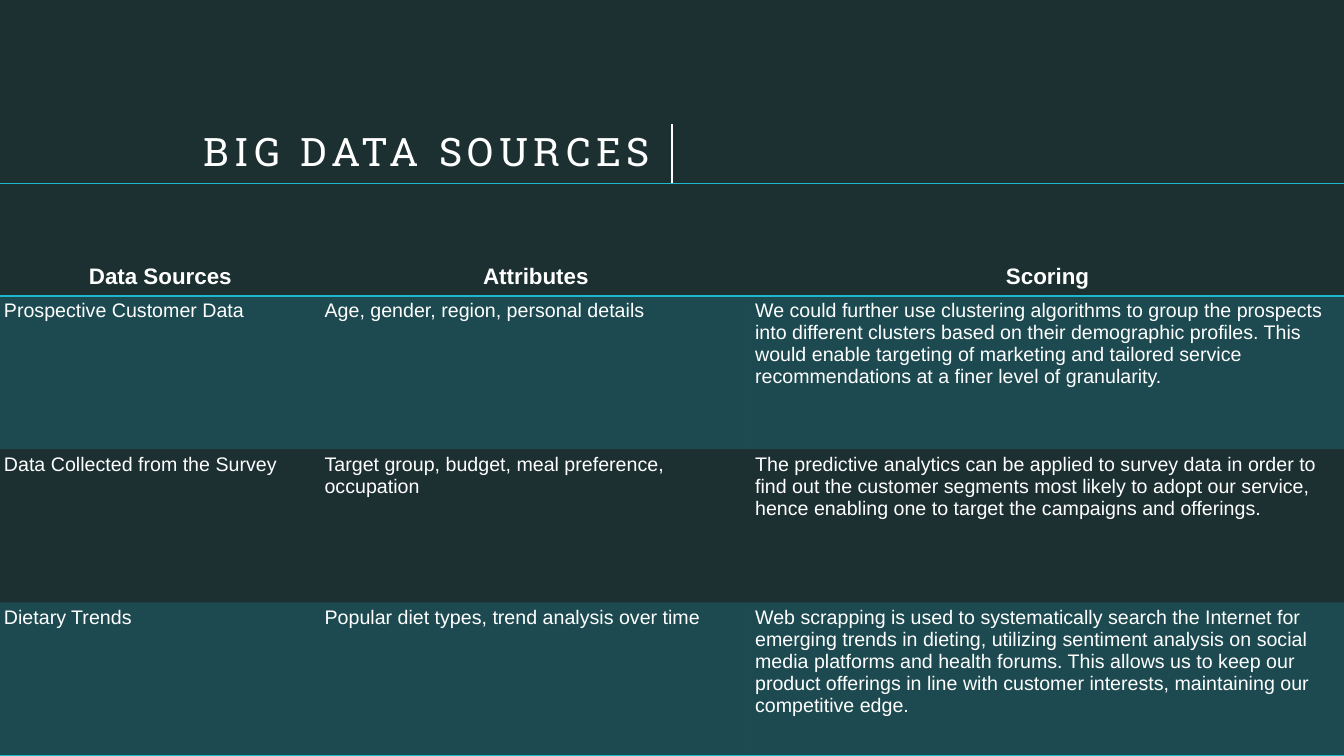
import pptx
import pptx.util
import pptx.dml.color
import pptx.enum.shapes
import pptx.enum.text
import pptx.oxml
import pptx.oxml.ns
from lxml import etree

Cm = pptx.util.Cm
Pt = pptx.util.Pt
Align = pptx.enum.text.PP_ALIGN
Anchor = pptx.enum.text.MSO_ANCHOR
qn = pptx.oxml.ns.qn

WIDE, HIGH = 33.87, 19.05
DARK, WHITE, TEAL = "1C2F31", "FFFFFF", "1EB8CE"
PLAIN = "{2D5ABB26-0587-4C30-8999-92F81FD0307C}"

HEADS = ["Data Sources", "Attributes", "Scoring"]
ROWS = [
    ["Prospective Customer Data",
     "Age, gender, region, personal details",
     "We could further use clustering algorithms to group the prospects into "
     "different clusters based on their demographic profiles. This would enable "
     "targeting of marketing and tailored service recommendations at a finer "
     "level of granularity."],
    ["Data Collected from the Survey",
     "Target group, budget, meal preference, occupation",
     "The predictive analytics can be applied to survey data in order to find out "
     "the customer segments most likely to adopt our service, hence enabling one "
     "to target the campaigns and offerings."],
    ["Dietary Trends",
     "Popular diet types, trend analysis over time",
     "Web scrapping is used to systematically search the Internet for emerging "
     "trends in dieting, utilizing sentiment analysis on social media platforms "
     "and health forums. This allows us to keep our product offerings in line "
     "with customer interests, maintaining our competitive edge."],
]


def color(code):
    return pptx.dml.color.RGBColor.from_string(code)


class Deck:
    def __init__(self):
        self.show = pptx.Presentation()
        self.show.slide_width = Cm(WIDE)
        self.show.slide_height = Cm(HIGH)
        self.slide = self.show.slides.add_slide(self.show.slide_layouts[6])
        self.font = "Arial"

    def back(self, code):
        fill = self.slide.background.fill
        fill.solid()
        fill.fore_color.rgb = color(code)

    def panel(self, x, y, w, h, code):
        kind = pptx.enum.shapes.MSO_SHAPE.RECTANGLE
        shape = self.slide.shapes.add_shape(kind, Cm(x), Cm(y), Cm(w), Cm(h))
        shape.shadow.inherit = False
        shape.fill.solid()
        shape.fill.fore_color.rgb = color(code)
        shape.line.fill.background()

    def run(self, para, text, size, font=None, bold=False):
        run = para.add_run()
        run.text = text
        run.font.size = Pt(size)
        run.font.name = font or self.font
        run.font.bold = bold
        run.font.color.rgb = color(WHITE)
        return run

    def title(self, text, x, y, w, h):
        frame = self.slide.shapes.add_textbox(Cm(x), Cm(y), Cm(w), Cm(h)).text_frame
        frame.word_wrap = True
        frame.vertical_anchor = Anchor.MIDDLE
        frame.margin_left = frame.margin_right = 0
        frame.margin_top = frame.margin_bottom = 0
        para = frame.paragraphs[0]
        para.alignment = Align.CENTER
        run = self.run(para, text, 28, "Roboto Slab")
        run.font._element.set("spc", "400")

    def line(self, x, y, end_x, end_y, code):
        kind = pptx.enum.shapes.MSO_CONNECTOR.STRAIGHT
        line = self.slide.shapes.add_connector(kind, Cm(x), Cm(y), Cm(end_x), Cm(end_y))
        line.line.width = Pt(1)
        line.line.color.rgb = color(code)
        etree.SubElement(line._element.spPr, qn("a:effectLst"))

    def edge(self, cell, *sides):
        props = cell._tc.get_or_add_tcPr()
        for spot, side in enumerate(sides):
            rule = etree.Element(qn("a:ln" + side), w=str(Pt(1)))
            fill = etree.SubElement(rule, qn("a:solidFill"))
            etree.SubElement(fill, qn("a:srgbClr"), val=TEAL)
            props.insert(spot, rule)

    def cell(self, cell, text, head, tint):
        cell.margin_left = cell.margin_right = cell.margin_top = Cm(0.1)
        cell.margin_bottom = Cm(0.18)
        cell.vertical_anchor = Anchor.BOTTOM if head else Anchor.TOP
        para = cell.text_frame.paragraphs[0]
        para.alignment = Align.CENTER if head else Align.LEFT
        self.run(para, text, 16 if head else 14, bold=head)
        if tint:
            cell.fill.solid()
            cell.fill.fore_color.rgb = color(TEAL)
            tone = cell._tc.tcPr.find(".//" + qn("a:srgbClr"))
            etree.SubElement(tone, qn("a:alpha"), val="20000")
        else:
            cell.fill.background()

    def table(self, data, x, y, wides, highs):
        frame = self.slide.shapes.add_table(
            len(data), len(wides), Cm(x), Cm(y), Cm(sum(wides)), Cm(sum(highs)))
        table = frame.table
        table.first_row = table.horz_banding = False
        table._tbl.tblPr.find(qn("a:tableStyleId")).text = PLAIN
        for col, wide in zip(table.columns, wides):
            col.width = Cm(wide)
        for row, high in zip(table.rows, highs):
            row.height = Cm(high)
        for r, texts in enumerate(data):
            for c, text in enumerate(texts):
                cell = table.cell(r, c)
                self.cell(cell, text, r == 0, r % 2 == 1)
                if r == 0:
                    self.edge(cell, "T", "B")
                elif r == len(data) - 1:
                    self.edge(cell, "B")


def main():
    deck = Deck()
    deck.back(DARK)
    deck.panel(0, 0, WIDE, HIGH, DARK)
    deck.title("BIG DATA SOURCES", 4.14, 2.08, 13.23, 3.43)
    deck.line(WIDE / 2, 3.12, WIDE / 2, 4.62, WHITE)
    deck.table([HEADS] + ROWS, 0, 4.62, [8.08, 10.85, 14.94], [2.84] + [3.86] * 3)
    deck.show.save("out.pptx")


if __name__ == "__main__":
    main()
